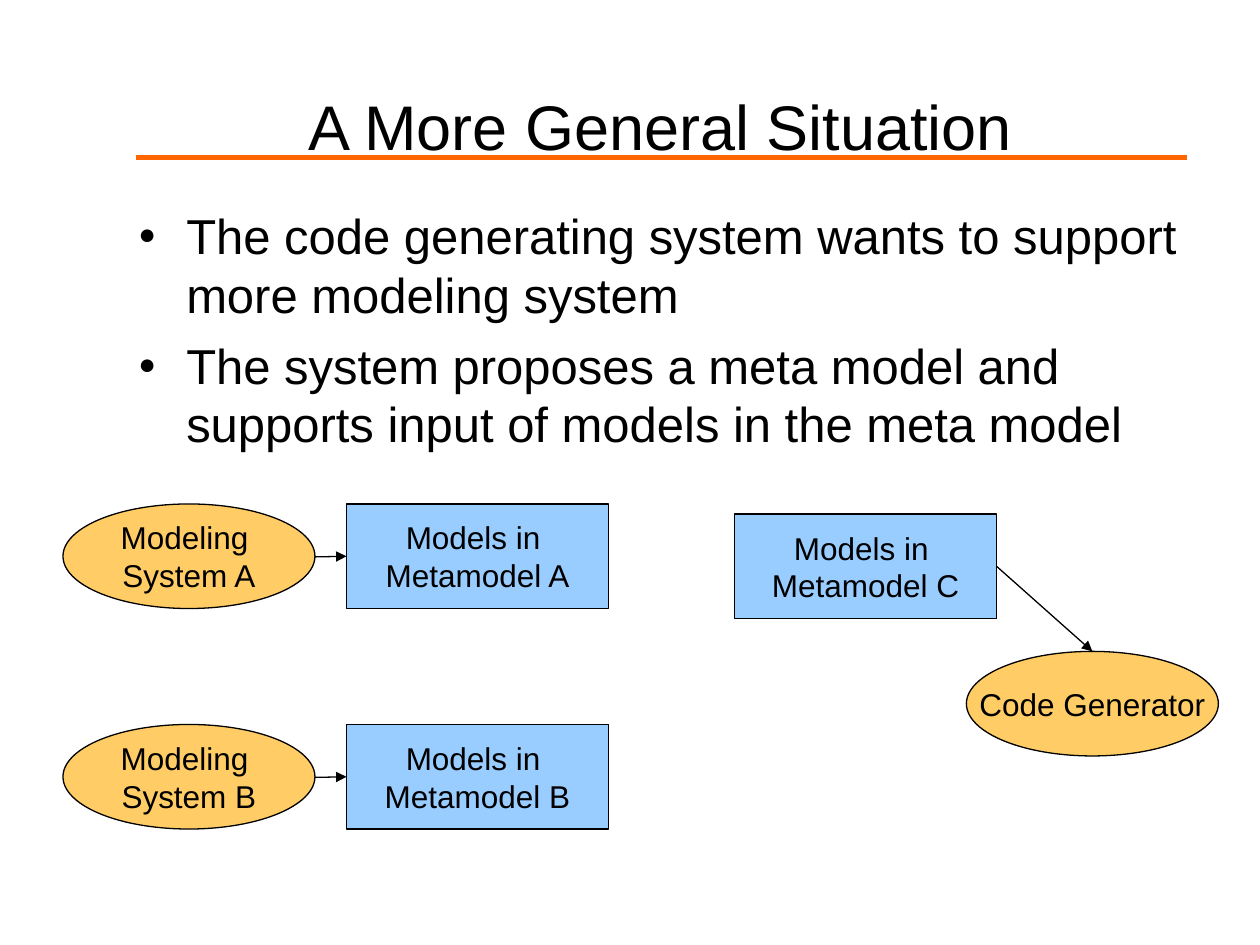
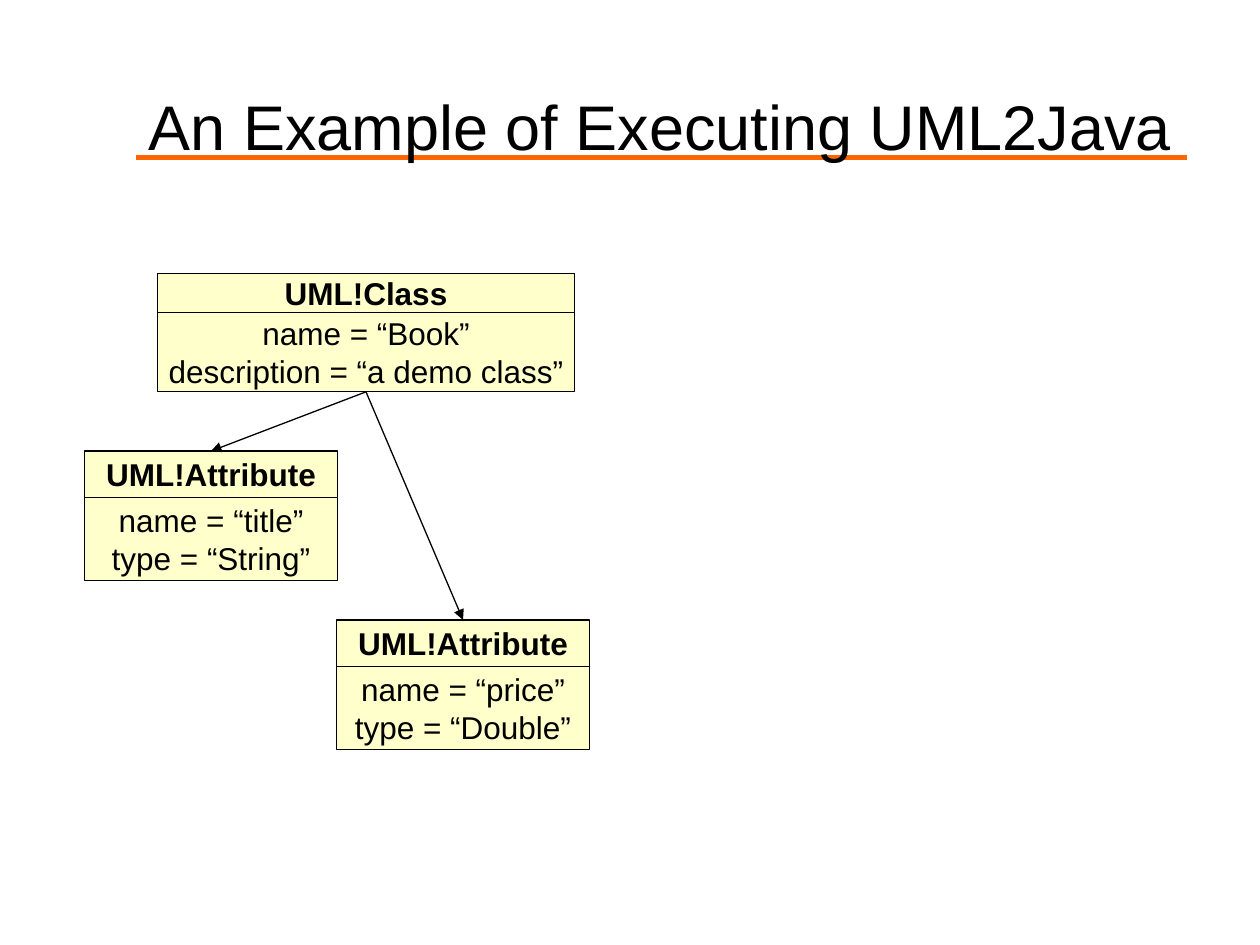
from lxml import etree
from pptx import Presentation
from pptx.dml.color import RGBColor
from pptx.enum.shapes import MSO_CONNECTOR, MSO_SHAPE
from pptx.enum.text import MSO_ANCHOR, PP_ALIGN
from pptx.oxml.ns import qn
from pptx.util import Inches, Pt

OVAL, RECT = MSO_SHAPE.OVAL, MSO_SHAPE.RECTANGLE
LINE = MSO_CONNECTOR.STRAIGHT
MIDDLE, TOP = MSO_ANCHOR.MIDDLE, MSO_ANCHOR.TOP
CENTER, LEFT = PP_ALIGN.CENTER, PP_ALIGN.LEFT
ABOVE, WEST, BELOW, EAST = range(4)
TITLE_ONLY = 5

FONT = "Arial"
COLORS = {
    "ink": "000000",
    "rule": "FF6600",
    "system": "FFCC66",
    "model": "99CCFF",
    "uml": "FFFFCC",
}


def color(name):
    return RGBColor.from_string(COLORS[name])


def write(shape, lines, size=18, bold=False, align=CENTER, anchor=MIDDLE,
          wrap=False, before=0):
    """Fill a shape with one paragraph per line."""
    frame = shape.text_frame
    frame.word_wrap = wrap
    frame.vertical_anchor = anchor
    frame.text = "\n".join(lines)
    for para in frame.paragraphs:
        para.alignment = align
        para.space_before = Pt(before)
        font = para.runs[0].font
        font.name, font.size, font.bold = FONT, Pt(size), bold
        font.color.rgb = color("ink")


def bullet(para, indent=0.38):
    props = para._p.get_or_add_pPr()
    props.set("marL", str(Inches(indent)))
    props.set("indent", str(-Inches(indent)))
    etree.SubElement(props, qn("a:buSzPct"), val="60000")
    etree.SubElement(props, qn("a:buFont"), typeface=FONT)
    etree.SubElement(props, qn("a:buChar"), char="●")


def add_list(slide, items, x, y, w, h):
    box = slide.shapes.add_textbox(*map(Inches, (x, y, w, h)))
    write(box, items, size=28, align=LEFT, anchor=TOP, wrap=True, before=7)
    for para in box.text_frame.paragraphs:
        bullet(para)


def add_line(slide, start, end, fill="ink", width=0.75):
    line = slide.shapes.add_connector(LINE, *map(Inches, (*start, *end)))
    line.line.color.rgb = color(fill)
    line.line.width = Pt(width)
    etree.SubElement(line.element.spPr, qn("a:effectLst"))
    return line


def add_arrow(slide, start=(0, 0), end=(0, 0), source=None, target=None):
    """Draw an arrow; source and target are (shape, side) pairs."""
    arrow = add_line(slide, start, end)
    if source:
        arrow.begin_connect(*source)
    if target:
        arrow.end_connect(*target)
    etree.SubElement(arrow.line._get_or_add_ln(), qn("a:tailEnd"),
                     type="triangle")


def add_node(shapes, kind, fill, lines, x, y, w, h, bold=False):
    node = shapes.add_shape(kind, *map(Inches, (x, y, w, h)))
    node.shadow.inherit = False
    node.fill.solid()
    node.fill.fore_color.rgb = color(fill)
    node.line.color.rgb = color("ink")
    node.line.width = Pt(0.75)
    write(node, lines, bold=bold)
    return node


def add_system(slide, lines, x, y):
    return add_node(slide.shapes, OVAL, "system", lines, x, y, 2, 0.83)


def add_model(slide, letter, x, y):
    lines = ["Models in ", f"Metamodel {letter}"]
    return add_node(slide.shapes, RECT, "model", lines, x, y, 2.08, 0.83)


def add_uml(slide, name, fields, x, y, w, head, body):
    """Group a name box with a field box; return both."""
    shapes = slide.shapes.add_group_shape().shapes
    top = add_node(shapes, RECT, "uml", [name], x, y, w, head, bold=True)
    base = add_node(shapes, RECT, "uml", fields, x, y + head, w, body)
    return top, base


def add_slide(deck, text):
    """Start a slide with its title over the orange rule."""
    slide = deck.slides.add_slide(deck.slide_layouts[TITLE_ONLY])
    title = slide.shapes.title
    title.left, title.top = Inches(0.91), Inches(0.6)
    title.width, title.height = Inches(8.66), Inches(0.79)
    write(title, [text], size=36, wrap=True)
    rule = add_line(slide, (1.08, 1.25), (9.42, 1.25), "rule", 2.75)
    title.element.addprevious(rule.element)
    return slide


def add_situation(deck):
    slide = add_slide(deck, "A More General Situation")
    add_list(slide, [
        "The code generating system wants to support more modeling system",
        "The system proposes a meta model and supports input of models "
        "in the meta model",
    ], 1, 1.58, 8.51, 2.2)

    # Modeling systems and their models
    for letter, y in (("A", 4), ("B", 5.75)):
        add_system(slide, ["Modeling ", f"System {letter}"], 0.5, y)
        model = add_model(slide, letter, 2.75, y)
        add_arrow(slide, start=(2.5, y + 0.42), target=(model, WEST))

    # Code generator and its input
    model = add_model(slide, "C", 5.83, 4.08)
    coder = add_system(slide, ["Code Generator"], 7.67, 5.17)
    add_arrow(slide, source=(model, EAST), target=(coder, ABOVE))


def add_example(deck):
    slide = add_slide(deck, "An Example of Executing UML2Java")
    fields = ["name = “Book”", "description = “a demo class”"]
    _, book = add_uml(slide, "UML!Class", fields, 1.25, 2.17, 3.31, 0.31, 0.63)

    # Attributes of the class
    for name, kind, x, y in (("title", "String", 0.67, 3.58),
                             ("price", "Double", 2.67, 4.92)):
        fields = [f"name = “{name}”", f"type = “{kind}”"]
        head, _ = add_uml(slide, "UML!Attribute", fields, x, y,
                          2.01, 0.37, 0.66)
        add_arrow(slide, source=(book, BELOW), target=(head, ABOVE))


def main():
    deck = Presentation()
    deck.slide_width, deck.slide_height = Inches(10), Inches(7.5)
    add_situation(deck)
    add_example(deck)
    deck.save("out.pptx")


if __name__ == "__main__":
    main()
